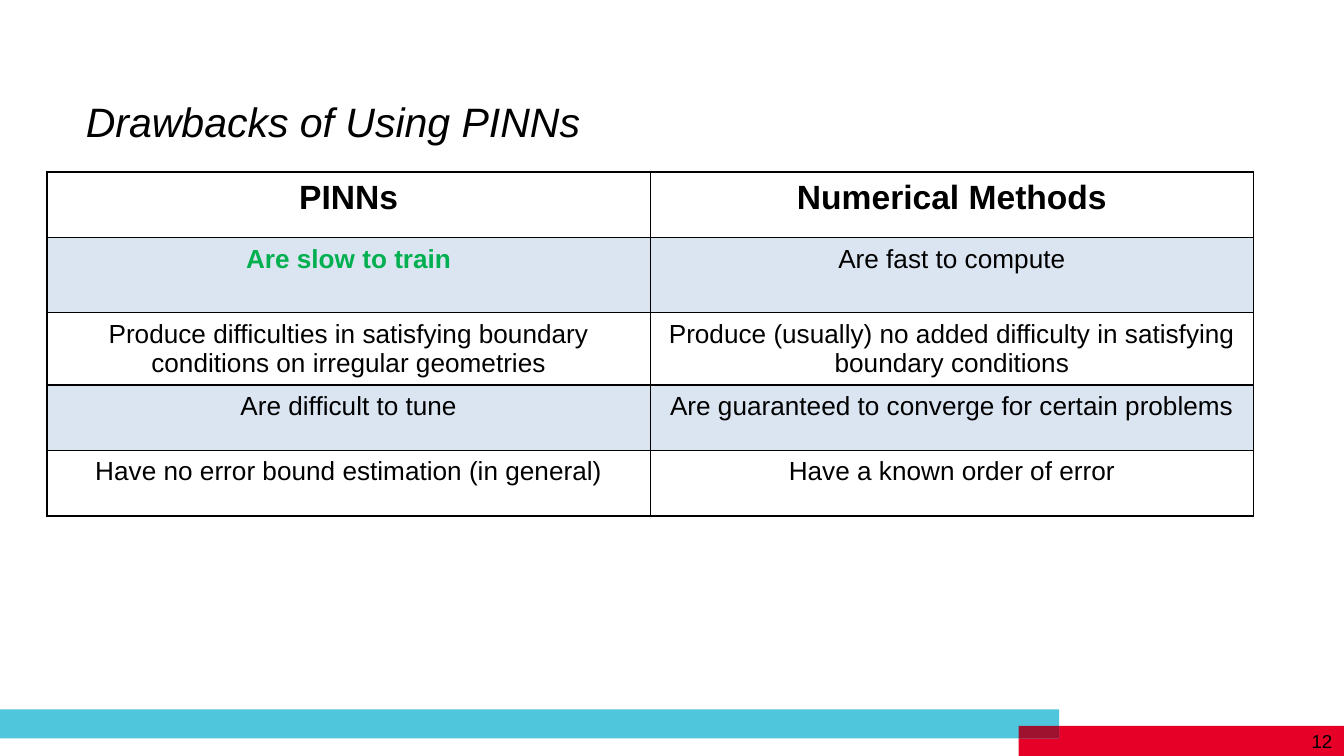
from dataclasses import dataclass

from lxml.etree import SubElement
from pptx import Presentation
from pptx.dml.color import RGBColor
from pptx.enum.shapes import MSO_SHAPE
from pptx.enum.text import MSO_ANCHOR, MSO_AUTO_SIZE, PP_ALIGN
from pptx.oxml.ns import qn
from pptx.util import Cm, Pt

RECT = MSO_SHAPE.RECTANGLE
LEFT, MID = PP_ALIGN.LEFT, PP_ALIGN.CENTER
TOP = MSO_ANCHOR.TOP
FIXED = MSO_AUTO_SIZE.NONE


@dataclass(frozen=True)
class Theme:
    face: str = "Arial"
    ink: str = "000000"
    green: str = "00B050"
    band: str = "4F81BD"
    red: str = "E60028"
    cyan: str = "50C6DD"
    wine: str = "9E122F"
    title: int = 22
    head: int = 18
    body: int = 14
    small: int = 10


THEME = Theme()
ROWS = (
    ("PINNs", "Numerical Methods"),
    ("Are slow to train", "Are fast to compute"),
    ("Produce difficulties in satisfying boundary conditions on irregular geometries",
     "Produce (usually) no added difficulty in satisfying boundary conditions"),
    ("Are difficult to tune", "Are guaranteed to converge for certain problems"),
    ("Have no error bound estimation (in general)", "Have a known order of error"),
)
HIGHS = (1.24, 1.42, 1.36, 1.24, 1.24)
WIDE = 11.4
KEY = (1, 0)


def apply(item, form):
    for name, value in form.items():
        setattr(item, name, value)


def write(frame, text, size, align=LEFT, color=THEME.ink, **form):
    para = frame.paragraphs[0]
    para.text = text
    apply(para, {"alignment": align, "space_before": Pt(0)})
    apply(para.font, {"name": THEME.face, "size": Pt(size), **form})
    para.font.color.rgb = RGBColor.from_string(color)


def add_bar(slide, box, color):
    bar = slide.shapes.add_shape(RECT, *map(Cm, box))
    bar.shadow.inherit = False
    bar.fill.solid()
    bar.fill.fore_color.rgb = RGBColor.from_string(color)
    bar.line.fill.background()


def add_title(slide, text):
    title = slide.shapes.title
    apply(title, {"left": Cm(1.37), "top": Cm(1.7),
                  "width": Cm(20.19), "height": Cm(2.77)})
    apply(title.text_frame, {"vertical_anchor": TOP, "auto_size": FIXED,
                             "word_wrap": True})
    write(title.text_frame, text, THEME.title, italic=True)


def add_rules(cell):
    props = cell._tc.get_or_add_tcPr()
    for side in ("L", "R", "T", "B"):
        line = SubElement(props, qn(f"a:ln{side}"), w=str(Pt(1)))
        fill = SubElement(line, qn("a:solidFill"))
        SubElement(fill, qn("a:srgbClr"), val=THEME.ink)


def shade(cell, band):
    if not band:
        cell.fill.background()
        return
    cell.fill.solid()
    cell.fill.fore_color.rgb = RGBColor.from_string(THEME.band)
    tint = cell._tc.tcPr.find(qn("a:solidFill"))[0]
    SubElement(tint, qn("a:alpha"), val="20000")


def add_grid(slide):
    box = (0.89, 3.25, WIDE * 2, sum(HIGHS))
    grid = slide.shapes.add_table(len(ROWS), 2, *map(Cm, box)).table
    apply(grid, {"first_row": False, "horz_banding": False})
    for col in grid.columns:
        col.width = Cm(WIDE)
    for r, (texts, high) in enumerate(zip(ROWS, HIGHS)):
        grid.rows[r].height = Cm(high)
        for c, text in enumerate(texts):
            cell = grid.cell(r, c)
            add_rules(cell)
            shade(cell, r % 2 == 1)
            key = (r, c) == KEY
            write(cell.text_frame, text, THEME.body if r else THEME.head, MID,
                  THEME.green if key else THEME.ink, bold=r == 0 or key)


def add_page(slide, text):
    box = slide.shapes.add_textbox(*map(Cm, (24.54, 13.67, 1.0, 0.62)))
    write(box.text_frame, text, THEME.small)


def main():
    deck = Presentation()
    apply(deck, {"slide_width": Cm(25.4), "slide_height": Cm(14.29)})
    slide = deck.slides.add_slide(deck.slide_layouts[5])
    add_bar(slide, (19.25, 13.72, 6.15, 0.57), THEME.red)
    add_bar(slide, (0, 13.41, 20.02, 0.55), THEME.cyan)
    add_bar(slide, (19.25, 13.72, 0.77, 0.24), THEME.wine)
    add_title(slide, "Drawbacks of Using PINNs")
    add_grid(slide)
    add_page(slide, "12")
    deck.save("out.pptx")


if __name__ == "__main__":
    main()
